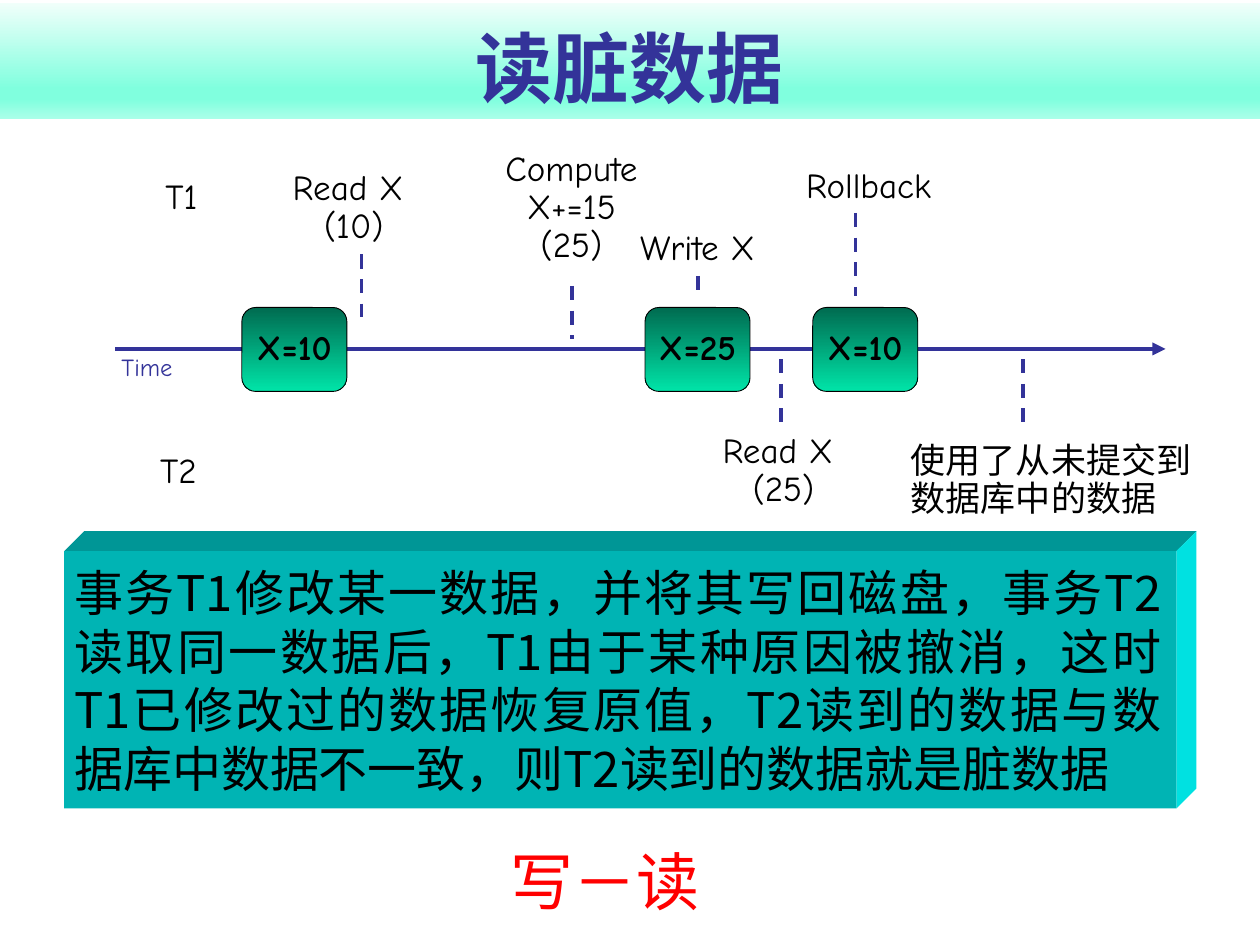
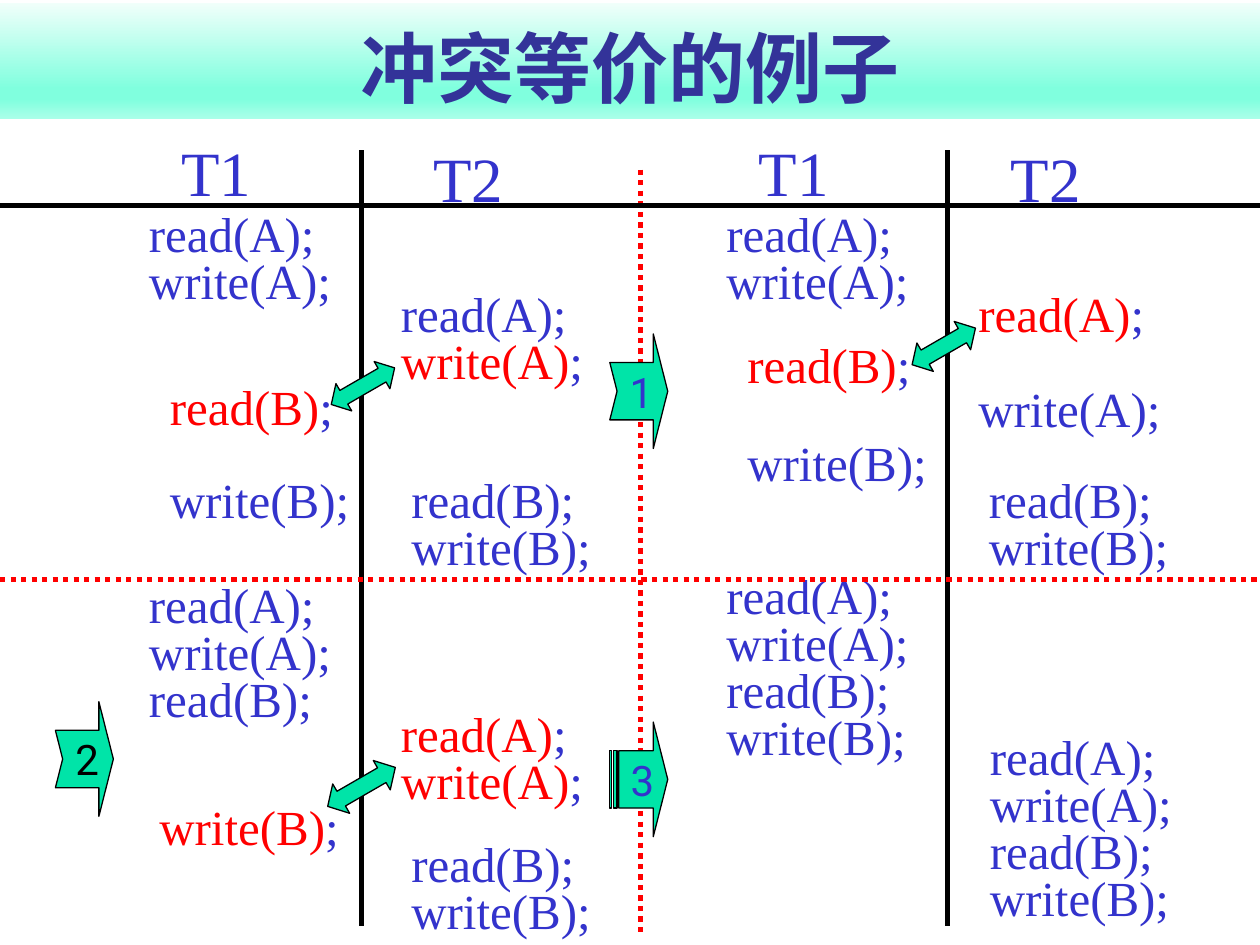
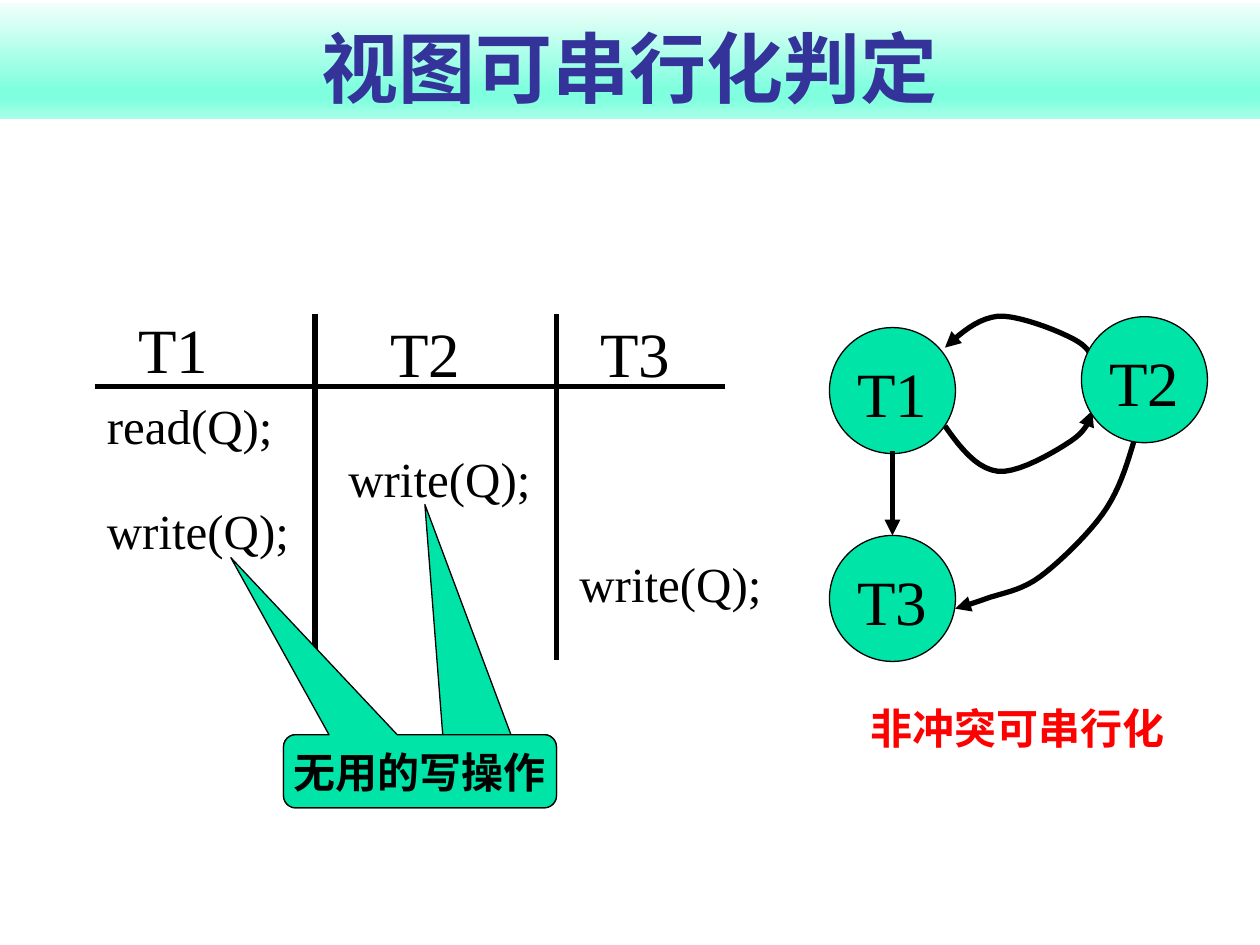
from dataclasses import dataclass, replace

from lxml import etree
from pptx import Presentation
from pptx.dml.color import RGBColor
from pptx.enum.dml import MSO_LINE
from pptx.enum.shapes import MSO_CONNECTOR, MSO_SHAPE
from pptx.enum.text import MSO_ANCHOR, MSO_AUTO_SIZE, PP_ALIGN
from pptx.oxml.ns import qn
from pptx.util import Pt

LEFT, CENTER, JUSTIFY = PP_ALIGN.LEFT, PP_ALIGN.CENTER, PP_ALIGN.JUSTIFY
TOP, MIDDLE, BOTTOM = MSO_ANCHOR.TOP, MSO_ANCHOR.MIDDLE, MSO_ANCHOR.BOTTOM
DASH, DOT = MSO_LINE.DASH, MSO_LINE.ROUND_DOT


@dataclass(frozen=True)
class Style:
    size: float
    font: str
    color: str
    bold: bool = False
    align: PP_ALIGN = CENTER
    spacing: float = 1.0


class Theme:
    black, red, navy, blue, green = "000000", "FF0000", "333399", "3333CC", "00E4A8"
    cube_front, cube_top, cube_side = "00B4B4", "009696", "00E1E1"
    band = [(0, "F1FFFB"), (74, "80FFDE"), (83, "80FFDE"), (100, "AAFFE9")]
    value = [(0, "006B50"), (100, "00E4A8")]
    title = Style(44, "Roboto", navy, bold=True)
    label = Style(20, "Comic Neue", black, spacing=0.9)
    time = replace(label, size=14, color=navy)
    state = replace(label, bold=True)
    body = Style(28, "Noto Sans CJK JP", black, align=JUSTIFY)
    verdict = Style(36, "Noto Sans CJK SC", red)
    heading = Style(36, "Times New Roman", blue)
    node = replace(heading, color=black)
    call = Style(28, "Times New Roman", blue, align=LEFT, spacing=0.8)
    query = replace(call, color=black)
    number = Style(24, "Roboto", blue)
    callout = Style(24, "Noto Sans CJK SC", black, bold=True)
    warning = Style(24, "Roboto", red, bold=True, align=LEFT)


# Slide 1: left, top, width, height, lines
DIRTY_TITLE = "读脏数据"
EVENTS = [
    (82, 255, 40, 29, ["T2"]),
    (85, 98.6, 37.4, 29, ["T1"]),
    (404.6, 244, 86.4, 50.4, ["Read X \v(25)"]),
    (159, 93.6, 86.4, 50.4, ["Read X \v(10)"]),
    (279.4, 82.8, 94.3, 72, ["Compute", "X+=15", "(25)"]),
    (352.8, 128, 91.4, 29, ["Write X"]),
    (450.7, 92.2, 91.4, 29, ["Rollback"]),
]
UNCOMMITTED = ["使用了从未提交到", "数据库中的数据"]
STATES = [(138.2, "X=10"), (368.6, "X=25"), (464.4, "X=10")]
TICKS = [(446.4, 205.2, 246), (206.6, 145.4, 181.4), (326.9, 163.4, 193.7),
         (398.9, 157.7, 169.2), (488.9, 121.7, 169.2), (584.6, 205.2, 241.2)]
EXPLANATION = ("事务T1修改某一数据，并将其写回磁盘，事务T2读取同一数据后，"
               "T1由于某种原因被撤消，这时T1已修改过的数据恢复原值，"
               "T2读到的数据与数据库中数据不一致，则T2读到的数据就是脏数据")
VERDICT = "写－读"

# Slide 2: left, top, lines; a leading "!" marks a call to swap
SWAP_TITLE = "冲突等价的例子"
HALF_SHIFT = 330
CALL_WIDTH = {"read(A)": 109.4, "write(A)": 118.8, "read(B)": 108, "write(B)": 117.4}
PAIR_A, PAIR_B = ["read(A)", "write(A)"], ["read(B)", "write(B)"]
LEFT_CALLS = [
    (78, 119, PAIR_A), (228, 271, PAIR_B),
    (90, 218, ["!read(B)"]), (90, 271, ["write(B)"]),
    (222, 165, ["read(A)", "!write(A)"]),
    (78, 331, PAIR_A), (78, 385, ["read(B)"]),
    (84, 458, ["!write(B)"]),
    (222, 405, ["!read(A)", "!write(A)"]), (228, 479, PAIR_B),
]
RIGHT_CALLS = [
    (78, 119, PAIR_A), (228, 271, PAIR_B),
    (90, 194, ["!read(B)"]), (90, 250, ["write(B)"]),
    (222, 165, ["!read(A)"]), (222, 219, ["write(A)"]),
    (78, 326, PAIR_A + PAIR_B), (228.5, 418, PAIR_A + PAIR_B),
]
SWAPS = [(186.5, 211.7, 41.8, 18), (518.4, 188.6, 41.8, 18.7), (184.3, 440, 44.6, 19.4)]
STEPS = [
    (MSO_SHAPE.NOTCHED_RIGHT_ARROW, 348.5, 190.8, "1", Theme.blue),
    (MSO_SHAPE.NOTCHED_RIGHT_ARROW, 31.7, 401, "2", Theme.black),
    (MSO_SHAPE.STRIPED_RIGHT_ARROW, 348.5, 412.6, "3", Theme.blue),
]

# Slide 3
VIEW_TITLE = "视图可串行化判定"
QUERIES = [(54, 229, 156, "read(Q);"), (54, 289, 120, "write(Q);"),
           (192, 259, 156, "write(Q);"), (324, 319, 132, "write(Q);")]
COLUMNS = [(60, 174, "T1"), (204, 176.4, "T2"), (324, 176.4, "T3")]
NODES = [(474, 187.2, "T1"), (618, 181, "T2"), (474, 306, "T3")]
# Arrow end, then a start point followed by three points for each Bézier piece
EDGES = [
    ("headEnd", [(540, 198.7), (548.6, 190.8), (558, 182.2), (570.2, 180.7),
                 (581.8, 180), (603.4, 188.6), (612, 193),
                 (620.6, 197.3), (622.8, 200.9), (624.2, 205.2)]),
    ("tailEnd", [(540, 243.4), (548.6, 255.6), (558, 267.8), (570.2, 269.3),
                 (581.8, 270.7), (603.4, 257.8), (612, 252),
                 (620.6, 246.2), (622.8, 240.5), (624.2, 234.7)]),
    ("tailEnd", [(648, 252), (643.7, 266.4), (639.4, 280.8), (630, 293.8),
                 (620.6, 306.7), (604.8, 321.8), (594, 329.8),
                 (583.2, 337.7), (571.7, 339.1), (563.8, 342),
                 (555.8, 344.9), (550.8, 346.3), (545.8, 347.8)]),
]
POINTERS = [(0.018, -3.646, 0.167), (-0.693, -2.92, 0.167)]
USELESS_WRITE = "无用的写操作"
WARNING = "非冲突可串行化"


def rgb(color):
    return RGBColor.from_string(color)


def set_text(box, lines, style, anchor=TOP, wrap=False, grow=False, insets=(7.2, 3.6, 7.2, 3.6)):
    """Fill a shape; a line is a string or a list of (text, color) spans."""
    frame = box.text_frame
    frame.word_wrap = wrap
    frame.auto_size = MSO_AUTO_SIZE.SHAPE_TO_FIT_TEXT if grow else MSO_AUTO_SIZE.NONE
    frame.vertical_anchor = anchor
    frame.margin_left, frame.margin_top, frame.margin_right, frame.margin_bottom = map(Pt, insets)
    for index, line in enumerate(lines):
        para = frame.add_paragraph() if index else frame.paragraphs[0]
        para.alignment = style.align
        para.line_spacing = style.spacing
        font = para.font
        font.size, font.bold, font.name = Pt(style.size), style.bold, style.font
        font.color.rgb = rgb(style.color)
        defaults = para._p.pPr.find(qn("a:defRPr"))
        etree.SubElement(defaults, qn("a:ea")).set("typeface", style.font)
        if isinstance(line, str):
            para.text = line
            continue
        for text, color in line:
            span = para.add_run()
            span.text = text
            span.font.color.rgb = rgb(color)


def add_text(page, left, top, width, height, lines, style, **options):
    box = page.shapes.add_textbox(Pt(left), Pt(top), Pt(width), Pt(height))
    set_text(box, lines, style, **options)


def paint(shape, fill=None, line=None, width=0.75):
    shape.shadow.inherit = False
    if fill:
        shape.fill.solid()
        shape.fill.fore_color.rgb = rgb(fill)
    else:
        shape.fill.background()
    if line:
        shape.line.color.rgb = rgb(line)
        shape.line.width = Pt(width)
    else:
        shape.line.fill.background()


def paint_gradient(shape, stops):
    """Fill from top to bottom with (percent, color) stops."""
    shape.fill.gradient()
    shape.fill.gradient_angle = 270
    stop_list = shape._element.spPr.find(qn("a:gradFill")).find(qn("a:gsLst"))
    for stop in list(stop_list):
        stop_list.remove(stop)
    for percent, color in stops:
        stop = etree.SubElement(stop_list, qn("a:gs"), pos=str(percent * 1000))
        etree.SubElement(stop, qn("a:srgbClr"), val=color)


def add_preset(page, kind, left, top, width, height, fill=Theme.green,
               line=Theme.black, line_width=0.75, adjust=()):
    shape = page.shapes.add_shape(kind, Pt(left), Pt(top), Pt(width), Pt(height))
    paint(shape, fill, line, line_width)
    for index, value in enumerate(adjust):
        shape.adjustments[index] = value
    return shape


def add_arrowhead(shape, end):
    etree.SubElement(shape.line._get_or_add_ln(), qn("a:" + end), type="triangle")


def add_line(page, x1, y1, x2, y2, color=Theme.black, width=3, dash=None, arrow=False):
    line = page.shapes.add_connector(MSO_CONNECTOR.STRAIGHT, Pt(x1), Pt(y1), Pt(x2), Pt(y2))
    line.line.color.rgb = rgb(color)
    line.line.width = Pt(width)
    if dash:
        line.line.dash_style = dash
    if arrow:
        add_arrowhead(line, "tailEnd")
    etree.SubElement(line._element.spPr, qn("a:effectLst"))


def add_outline(page, points, close):
    points = [(Pt(x), Pt(y)) for x, y in points]
    builder = page.shapes.build_freeform(*points[0], scale=1.0)
    builder.add_line_segments(points[1:], close=close)
    return builder.convert_to_shape()


def trace_curve(points, steps=10):
    """Return points along a chain of cubic Bézier pieces."""
    traced = [points[0]]
    for start in range(0, len(points) - 1, 3):
        piece = points[start:start + 4]
        for step in range(1, steps + 1):
            t = step / steps
            weights = ((1 - t) ** 3, 3 * t * (1 - t) ** 2, 3 * t * t * (1 - t), t ** 3)
            traced.append(tuple(sum(w * point[axis] for w, point in zip(weights, piece))
                                for axis in (0, 1)))
    return traced


def add_page(deck, title):
    page = deck.slides.add_slide(deck.slide_layouts[5])
    band = page.shapes.title
    band.left, band.top, band.width, band.height = Pt(0), Pt(1.44), Pt(720), Pt(66.5)
    paint_gradient(band, Theme.band)
    set_text(band, [title], Theme.title, anchor=BOTTOM, wrap=True)
    return page


def add_heading(page, left, top, width, text, style):
    add_text(page, left, top, width, 50.4, [text], style)


def add_cube(page, left, top, width, height, depth):
    """Draw a block with its top and right sides showing, and return its front."""
    right, bottom = left + width, top + height
    sides = [
        (Theme.cube_top, [(left, top), (left + depth, top - depth),
                          (right + depth, top - depth), (right, top)]),
        (Theme.cube_side, [(right, top), (right + depth, top - depth),
                           (right + depth, bottom - depth), (right, bottom)]),
    ]
    for color, corners in sides:
        paint(add_outline(page, corners, close=True), color)
    return add_preset(page, MSO_SHAPE.RECTANGLE, left, top, width, height,
                      Theme.cube_front, line=None)


def build_dirty_read(deck):
    page = add_page(deck, DIRTY_TITLE)
    add_line(page, 66, 199.4, 666, 199.4, Theme.navy, 2.5, arrow=True)
    add_text(page, 61, 199.4, 46, 22, ["Time"], Theme.time, anchor=MIDDLE, grow=True)
    for left, text in STATES:
        state = add_preset(page, MSO_SHAPE.ROUNDED_RECTANGLE, left, 175.7, 60, 48,
                           line_width=0.5, adjust=[0.167])
        paint_gradient(state, Theme.value)
        set_text(state, [text], Theme.state, anchor=MIDDLE)
    for *place, lines in EVENTS:
        add_text(page, *place, lines, Theme.label, anchor=MIDDLE, grow=True)
    add_text(page, 513.4, 249.8, 186, 50.4, UNCOMMITTED,
             replace(Theme.label, align=LEFT), anchor=MIDDLE, wrap=True)
    for x, start, end in TICKS:
        add_line(page, x, start, x, end, Theme.navy, 2, DASH)
    front = add_cube(page, 36.7, 315, 635.5, 147, 11.5)
    set_text(front, [EXPLANATION], Theme.body, anchor=MIDDLE, wrap=True,
             insets=(5.76, 5.76, 8.64, 5.76))
    add_text(page, 291.6, 478, 108, 36, [VERDICT], Theme.verdict)


def add_calls(page, left, top, calls):
    lines = [[(call.lstrip("!"), Theme.red if call.startswith("!") else Theme.blue),
              (";", Theme.blue)] for call in calls]
    width = max(CALL_WIDTH[call.lstrip("!")] for call in calls)
    add_text(page, left, top, width, 6.8 + 27 * len(calls), lines, Theme.call, grow=True)


def build_swaps(deck):
    page = add_page(deck, SWAP_TITLE)
    add_line(page, 366, 97, 366, 535, Theme.red, dash=DOT)
    add_line(page, 0, 117.4, 720, 117.4)
    for x in (206.6, 541.4):
        add_line(page, x, 86, x, 529)
    for shift, schedule in ((0, LEFT_CALLS), (HALF_SHIFT, RIGHT_CALLS)):
        add_heading(page, 96 + shift, 73, 55, "T1", Theme.heading)
        add_heading(page, 240 + shift, 76, 55, "T2", Theme.heading)
        for left, top, calls in schedule:
            add_calls(page, left + shift, top, calls)
    add_line(page, 0, 331.2, 720, 331.2, Theme.red, dash=DOT)
    for place in SWAPS:
        swap = add_preset(page, MSO_SHAPE.LEFT_RIGHT_ARROW, *place, adjust=[0.5, 0.46])
        swap.rotation = 330
    for kind, left, top, number, color in STEPS:
        step = add_preset(page, kind, left, top, 33.1, 65.5, adjust=[0.5, 0.25])
        set_text(step, [number], replace(Theme.number, color=color), anchor=MIDDLE,
                 insets=(10.2, 3.6, 7.2, 3.6))


def build_view_test(deck):
    page = add_page(deck, VIEW_TITLE)
    for left, top, width, text in QUERIES:
        add_text(page, left, top, width, 33.8, [text], Theme.query, wrap=True, grow=True)
    for left, top, text in COLUMNS:
        add_heading(page, left, top, 78, text, Theme.node)
    add_line(page, 54, 221, 414, 221)
    for x in (180, 318):
        add_line(page, x, 179.3, x, 377.3)
    for end, points in EDGES:
        edge = add_outline(page, trace_curve(points), close=False)
        paint(edge, line=Theme.black, width=3)
        add_arrowhead(edge, end)
    for left, top, text in NODES:
        node = add_preset(page, MSO_SHAPE.OVAL, left, top, 72, 72)
        set_text(node, [text], Theme.node, anchor=MIDDLE, insets=(0, 5.4, 0, 3.6))
    add_line(page, 510, 258, 510, 306, arrow=True)
    for pointer in POINTERS:
        callout = add_preset(page, MSO_SHAPE.ROUNDED_RECTANGULAR_CALLOUT,
                             162, 419.8, 156, 41.8, adjust=pointer)
    set_text(callout, [USELESS_WRITE], Theme.callout, anchor=MIDDLE)
    add_text(page, 490.3, 398, 182.2, 36, [WARNING], Theme.warning, grow=True)


def main():
    deck = Presentation()
    deck.slide_width, deck.slide_height = Pt(720), Pt(540)
    build_dirty_read(deck)
    build_swaps(deck)
    build_view_test(deck)
    deck.save("out.pptx")


if __name__ == "__main__":
    main()
